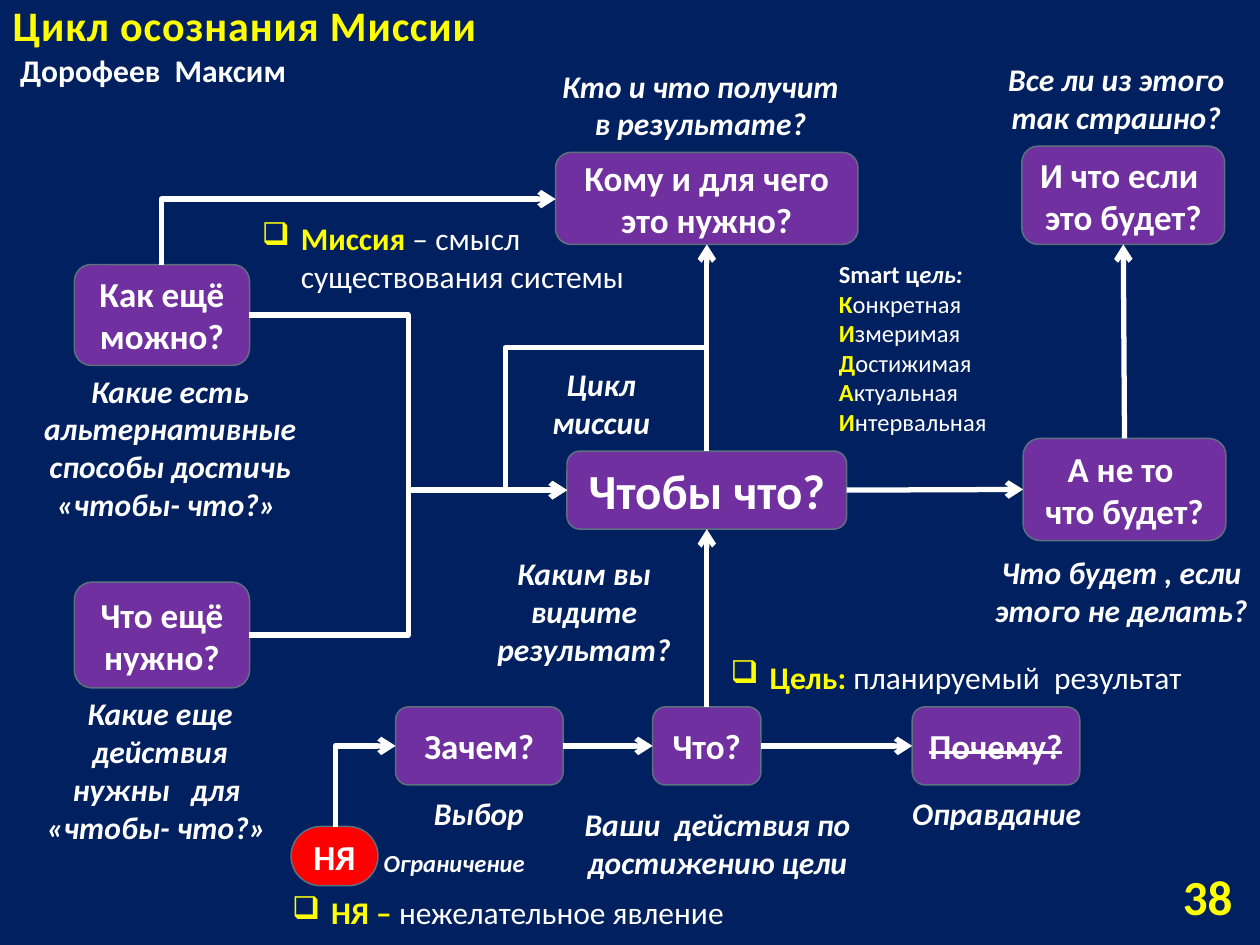
from dataclasses import dataclass

from lxml import etree
from pptx import Presentation
from pptx.dml.color import RGBColor
from pptx.enum.shapes import MSO_CONNECTOR, MSO_SHAPE
from pptx.enum.text import MSO_ANCHOR, MSO_AUTO_SIZE, PP_ALIGN
from pptx.oxml.ns import qn
from pptx.util import Inches, Pt

LEFT, CENTER, RIGHT = PP_ALIGN.LEFT, PP_ALIGN.CENTER, PP_ALIGN.RIGHT
TOP, MIDDLE, BOTTOM = MSO_ANCHOR.TOP, MSO_ANCHOR.MIDDLE, MSO_ANCHOR.BOTTOM
STRAIGHT, ELBOW = MSO_CONNECTOR.STRAIGHT, MSO_CONNECTOR.ELBOW
SIDE_TOP, SIDE_LEFT, SIDE_BOTTOM, SIDE_RIGHT = range(4)


@dataclass(frozen=True)
class Theme:
    font: str = "Calibri"
    navy: RGBColor = RGBColor(0x00, 0x20, 0x60)
    purple: RGBColor = RGBColor(0x70, 0x30, 0xA0)
    red: RGBColor = RGBColor(0xFF, 0x00, 0x00)
    edge: RGBColor = RGBColor(0x5D, 0x70, 0x80)
    white: RGBColor = RGBColor(0xFF, 0xFF, 0xFF)
    yellow: RGBColor = RGBColor(0xFF, 0xFF, 0x00)
    small: int = 14
    body: int = 18
    node: int = 20
    title: int = 24
    big: int = 28


T = Theme()

NODES = {
    "goal": ("Чтобы что?", 4.5, 3.58, 2.22, 0.62),
    "whom": ("Кому и для чего это нужно?", 4.41, 1.21, 2.4, 0.73),
    "how": ("Как ещё можно?", 0.59, 2.1, 1.39, 0.8),
    "else": ("А не то \nчто будет?", 8.12, 3.48, 1.61, 0.81),
    "if": ("И что если  это будет?", 8.11, 1.16, 1.61, 0.78),
    "what": ("Что?", 5.18, 5.61, 0.86, 0.62),
    "more": ("Что ещё нужно?", 0.59, 4.62, 1.39, 0.84),
    "reason": ("Зачем?", 3.14, 5.61, 1.33, 0.62),
    "why": ("Почему?", 7.24, 5.61, 1.33, 0.62),
    "problem": ("НЯ", 2.31, 6.56, 0.69, 0.47),
}
NODE_STYLES = {
    "goal": {"size": T.big},
    "why": {"strike": True},
    "problem": {"fill": T.red, "round_by": 0.5},
}
LINKS = [
    (STRAIGHT, "what", SIDE_TOP, "goal", SIDE_BOTTOM),
    (STRAIGHT, "goal", SIDE_TOP, "whom", SIDE_BOTTOM),
    (STRAIGHT, "goal", SIDE_RIGHT, "else", SIDE_LEFT),
    (STRAIGHT, "else", SIDE_TOP, "if", SIDE_BOTTOM),
    (STRAIGHT, "reason", SIDE_RIGHT, "what", SIDE_LEFT),
    (STRAIGHT, "what", SIDE_RIGHT, "why", SIDE_LEFT),
    (ELBOW, "how", SIDE_RIGHT, "goal", SIDE_LEFT),
    (ELBOW, "more", SIDE_RIGHT, "goal", SIDE_LEFT),
]
PATHS = [
    [(1.28, 2.1), (1.28, 1.58), (4.41, 1.58)],
    [(2.66, 6.56), (2.66, 5.92), (3.14, 5.92)],
    [(5.61, 3.58), (5.61, 2.76), (4.01, 2.76), (4.01, 3.89), (4.5, 3.89)],
]
NOTES = [
    ("Что будет , если этого не делать?", 7.7, 4.34, 2.4, 0.71),
    ("Какие еще действия нужны   для  «чтобы- что?» ", 0.25, 5.46, 2.04, 1.31),
    ("Какие есть альтернативные способы достичь «чтобы- что?» ", 0.11, 2.9, 2.48, 1.31),
    ("Каким вы видите результат?", 3.84, 4.35, 1.59, 1.01),
    ("Ваши  действия по достижению цели", 4.28, 6.34, 2.83, 0.71),
    ("Кто и что получит в результате?", 4.29, 0.48, 2.54, 0.71),
    ("Все ли из этого так страшно?", 7.66, 0.43, 2.4, 0.71),
    ("Цикл миссии", 4.06, 2.85, 1.42, 0.71),
    ("Выбор", 3.09, 6.25, 1.42, 0.4),
    ("Оправдание", 7.12, 6.25, 1.58, 0.4),
]
TERMS = [
    ("Цель: ", "планируемый  результат", 5.7, 5.17, 3.83, False),
    ("Миссия", " – смысл существования системы", 1.98, 1.69, 3.82, True),
    ("НЯ – ", "нежелательное явление", 2.22, 7.04, 3.67, False),
]
SMART = ["Конкретная  ", "Измеримая  ", "Достижимая ", "Актуальная  ", "Интервальная"]


def add_run(p, text, size, color=T.white, bold=True, italic=False):
    r = p.add_run()
    r.text = text
    f = r.font
    f.name, f.size, f.bold, f.italic = T.font, Pt(size), bold, italic
    f.color.rgb = color
    return r


def add_text(s, x, y, w, h, align=LEFT, anchor=TOP, wrap=True):
    sp = s.shapes.add_textbox(Inches(x), Inches(y), Inches(w), Inches(h))
    tf = sp.text_frame
    tf.word_wrap = wrap
    tf.vertical_anchor = anchor
    p = tf.paragraphs[0]
    p.alignment = align
    return p


def add_note(s, text, x, y, w, h, size=T.body):
    add_run(add_text(s, x, y, w, h, CENTER), text, size, italic=True)


def add_term(s, term, meaning, x, y, w, wrap):
    p = add_text(s, x, y, w, 0.71 if wrap else 0.4, wrap=wrap)
    pPr = p._p.get_or_add_pPr()
    pPr.set("marL", str(Inches(0.31)))
    pPr.set("indent", str(-Inches(0.31)))
    etree.SubElement(pPr, qn("a:buChar")).set("char", "❑")
    add_run(p, term, T.body, T.yellow)
    add_run(p, meaning, T.body, bold=False)


def add_node(s, text, x, y, w, h, size=T.node, fill=T.purple, round_by=None, strike=False):
    sp = s.shapes.add_shape(MSO_SHAPE.ROUNDED_RECTANGLE, Inches(x), Inches(y), Inches(w), Inches(h))
    sp.shadow.inherit = False
    sp.fill.solid()
    sp.fill.fore_color.rgb = fill
    sp.line.color.rgb = T.edge
    sp.line.width = Pt(0.85)
    if round_by is not None:
        sp.adjustments[0] = round_by
    tf = sp.text_frame
    tf.word_wrap = True
    tf.vertical_anchor = MIDDLE
    p = tf.paragraphs[0]
    p.alignment = CENTER
    for i, part in enumerate(text.split("\n")):
        if i:
            p.add_line_break()
        r = add_run(p, part, size)
        if strike:
            r.font._element.set("strike", "sngStrike")
    return sp


def style_arrow(sp):
    sp.line.color.rgb = T.white
    sp.line.width = Pt(3)
    ln = sp.line._get_or_add_ln()
    etree.SubElement(ln, qn("a:tailEnd")).set("type", "arrow")


def add_link(s, kind, start, start_side, end, end_side):
    c = s.shapes.add_connector(kind, 0, 0, 0, 0)
    c.begin_connect(start, start_side)
    c.end_connect(end, end_side)
    style_arrow(c)
    etree.SubElement(c._element.spPr, qn("a:effectLst"))


def add_path(s, points):
    pts = [(Inches(x), Inches(y)) for x, y in points]
    fb = s.shapes.build_freeform(*pts[0])
    fb.add_line_segments(pts[1:], close=False)
    sp = fb.convert_to_shape()
    sp.shadow.inherit = False
    sp.fill.background()
    style_arrow(sp)


def add_title(s, text):
    sp = s.shapes.title
    sp.left, sp.top, sp.width, sp.height = Inches(0), Inches(-0.01), Inches(4.84), Inches(0.46)
    tf = sp.text_frame
    tf.auto_size = MSO_AUTO_SIZE.NONE
    tf.vertical_anchor = BOTTOM
    p = tf.paragraphs[0]
    p.alignment = LEFT
    add_run(p, text, T.title, T.yellow).font._element.set("spc", "50")


def add_smart(s):
    p = add_text(s, 6.56, 2.01, 1.7, 1.51)
    add_run(p, "Smart ц", T.small)
    add_run(p, "ель:", T.small, italic=True)
    p = p._parent.add_paragraph()
    for word in SMART:
        add_run(p, word[0], T.small, T.yellow)
        add_run(p, word[1:], T.small, bold=False)


def main():
    prs = Presentation()
    prs.slide_width, prs.slide_height = Inches(10), Inches(7.5)
    s = prs.slides.add_slide(prs.slide_layouts[5])
    s.background.fill.solid()
    s.background.fill.fore_color.rgb = T.navy
    add_title(s, "Цикл осознания Миссии")
    add_run(add_text(s, 0, 0.36, 2.37, 0.4, RIGHT), "Дорофеев  Максим", T.body)
    add_run(add_text(s, 8.7, 6.91, 1.18, 0.4, RIGHT, MIDDLE), "38", T.big, T.yellow)
    nodes = {k: add_node(s, *v, **NODE_STYLES.get(k, {})) for k, v in NODES.items()}
    for kind, start, start_side, end, end_side in LINKS:
        add_link(s, kind, nodes[start], start_side, nodes[end], end_side)
    for points in PATHS:
        add_path(s, points)
    for note in NOTES:
        add_note(s, *note)
    add_note(s, "Ограничение", 2.93, 6.68, 1.35, 0.34, T.small)
    for term in TERMS:
        add_term(s, *term)
    add_smart(s)
    prs.save("out.pptx")


if __name__ == "__main__":
    main()
